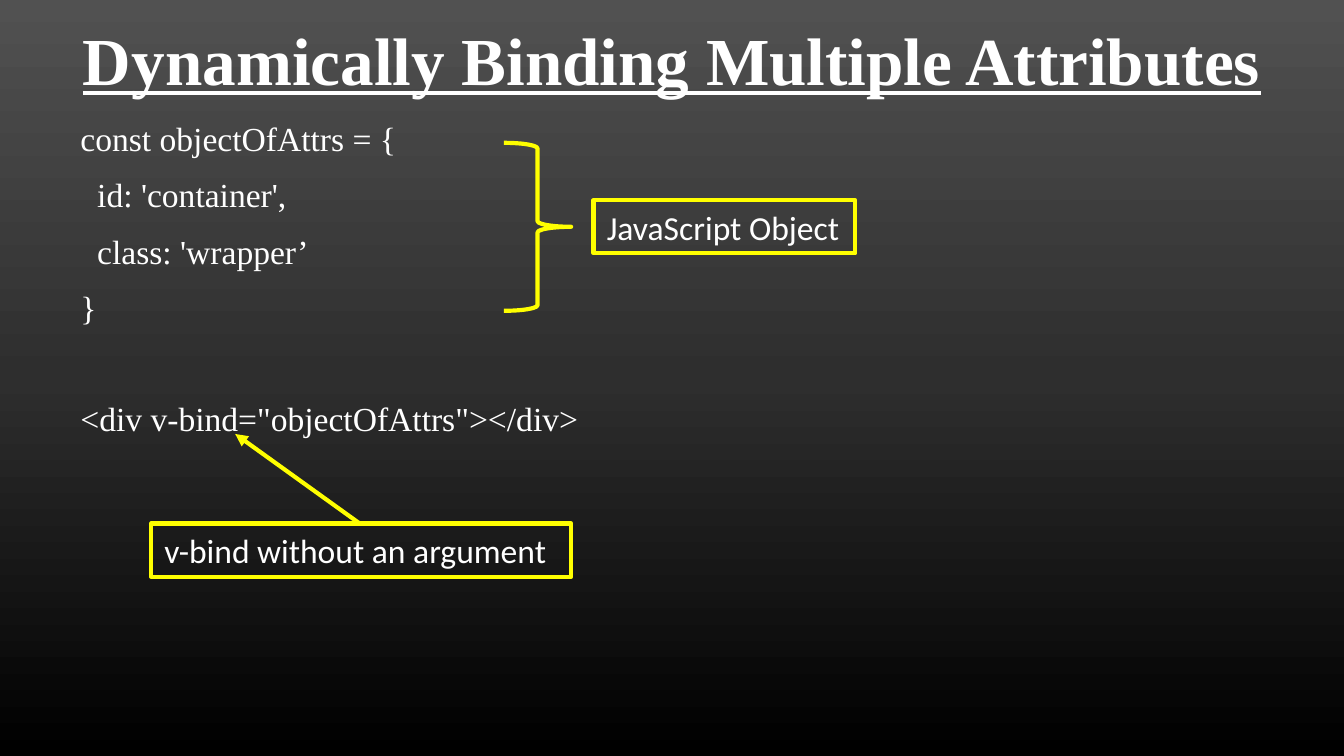
from copy import deepcopy
from dataclasses import dataclass

from lxml.etree import SubElement
from pptx import Presentation
from pptx.dml.color import RGBColor
from pptx.enum.shapes import MSO_CONNECTOR, MSO_SHAPE
from pptx.enum.text import MSO_ANCHOR, PP_ALIGN
from pptx.oxml.ns import qn
from pptx.util import Pt

EMU_PER_PX = 9525


def px(*lengths):
    return [length * EMU_PER_PX for length in lengths]


@dataclass(frozen=True)
class Theme:
    text: RGBColor = RGBColor.from_string("FFFFFF")
    accent: RGBColor = RGBColor.from_string("FFFF00")
    backdrop: tuple = ((0, "515151"), (0.5, "2E2E2E"), (1, "000000"))
    serif: str = "Times New Roman"
    sans: str = "Calibri"
    title_size: int = 36
    body_size: int = 18
    line_width: float = 2.25
    space_before: float = 7.5
    line_spacing: float = 1.05
    blank_line: float = 29.2


class SlideBuilder:
    def __init__(self, slide, theme):
        self.slide = slide
        self.theme = theme

    def background(self):
        fill = self.slide.background.fill
        fill.gradient()
        fill.gradient_angle = 270
        stop_list = self.slide.element.xpath(".//a:gsLst")[0]
        stop_list.append(deepcopy(stop_list[-1]))
        for stop, (position, color) in zip(fill.gradient_stops, self.theme.backdrop):
            stop.color.rgb = RGBColor.from_string(color)
            stop.position = position

    def style(self, paragraph, font_name, size):
        font = paragraph.font
        font.name, font.size = font_name, Pt(size)
        font.color.rgb = self.theme.text

    def outline(self, line):
        line.color.rgb = self.theme.accent
        line.width = Pt(self.theme.line_width)

    def title(self, wording, *box):
        frame = self.slide.shapes.add_textbox(*px(*box)).text_frame
        frame.word_wrap = True
        frame.vertical_anchor = MSO_ANCHOR.MIDDLE
        heading = frame.paragraphs[0]
        heading.text = wording
        heading.alignment = PP_ALIGN.CENTER
        self.style(heading, self.theme.serif, self.theme.title_size)
        heading.font.bold = heading.font.underline = True

    def code(self, lines, *box):
        frame = self.slide.shapes.add_textbox(*px(*box)).text_frame
        frame.word_wrap = True
        for index, (wording, indent, blanks_above) in enumerate(lines):
            statement = frame.add_paragraph() if index else frame.paragraphs[0]
            statement.text = wording
            self.style(statement, self.theme.serif, self.theme.body_size)
            statement.line_spacing = self.theme.line_spacing
            gap = self.theme.space_before + blanks_above * self.theme.blank_line
            statement.space_before = Pt(gap)
            properties = statement._p.get_or_add_pPr()
            properties.set("marL", str(*px(indent)))
            properties.set("indent", "0")

    def shape(self, preset, *box):
        shape = self.slide.shapes.add_shape(preset, *px(*box))
        shape.shadow.inherit = False
        shape.fill.background()
        self.outline(shape.line)
        return shape

    def callout(self, wording, *box):
        frame = self.shape(MSO_SHAPE.RECTANGLE, *box).text_frame
        frame.word_wrap = True
        frame.vertical_anchor = MSO_ANCHOR.TOP
        note = frame.paragraphs[0]
        note.text = wording
        note.alignment = PP_ALIGN.LEFT
        self.style(note, self.theme.sans, self.theme.body_size)

    def brace(self, *box):
        self.shape(MSO_SHAPE.RIGHT_BRACE, *box)

    def arrow(self, *ends):
        pointer = self.slide.shapes.add_connector(MSO_CONNECTOR.STRAIGHT, *px(*ends))
        self.outline(pointer.line)
        SubElement(pointer.line._get_or_add_ln(), qn("a:tailEnd"), type="triangle")
        SubElement(pointer._element.spPr, qn("a:effectLst"))


def main():
    presentation = Presentation()
    presentation.slide_width, presentation.slide_height = px(960, 540)
    slide = presentation.slides.add_slide(presentation.slide_layouts[6])
    lesson = SlideBuilder(slide, Theme())
    lesson.background()
    lesson.code(
        [
            ("const objectOfAttrs = {", 0, 0),
            ("id: 'container',", 12, 0),
            ("class: 'wrapper’", 12, 0),
            ("}", 0, 0),
            ('<div v-bind="objectOfAttrs"></div>', 0, 1),
        ],
        48, 78, 864, 448,
    )
    lesson.title("Dynamically Binding Multiple Attributes", 48, 6, 864, 72)
    lesson.callout("JavaScript Object", 424, 143, 187, 38)
    lesson.brace(360, 102, 48, 120)
    lesson.callout("v-bind without an argument", 108, 374, 300, 38)
    lesson.arrow(257, 374, 168, 310)
    presentation.save("out.pptx")


if __name__ == "__main__":
    main()
